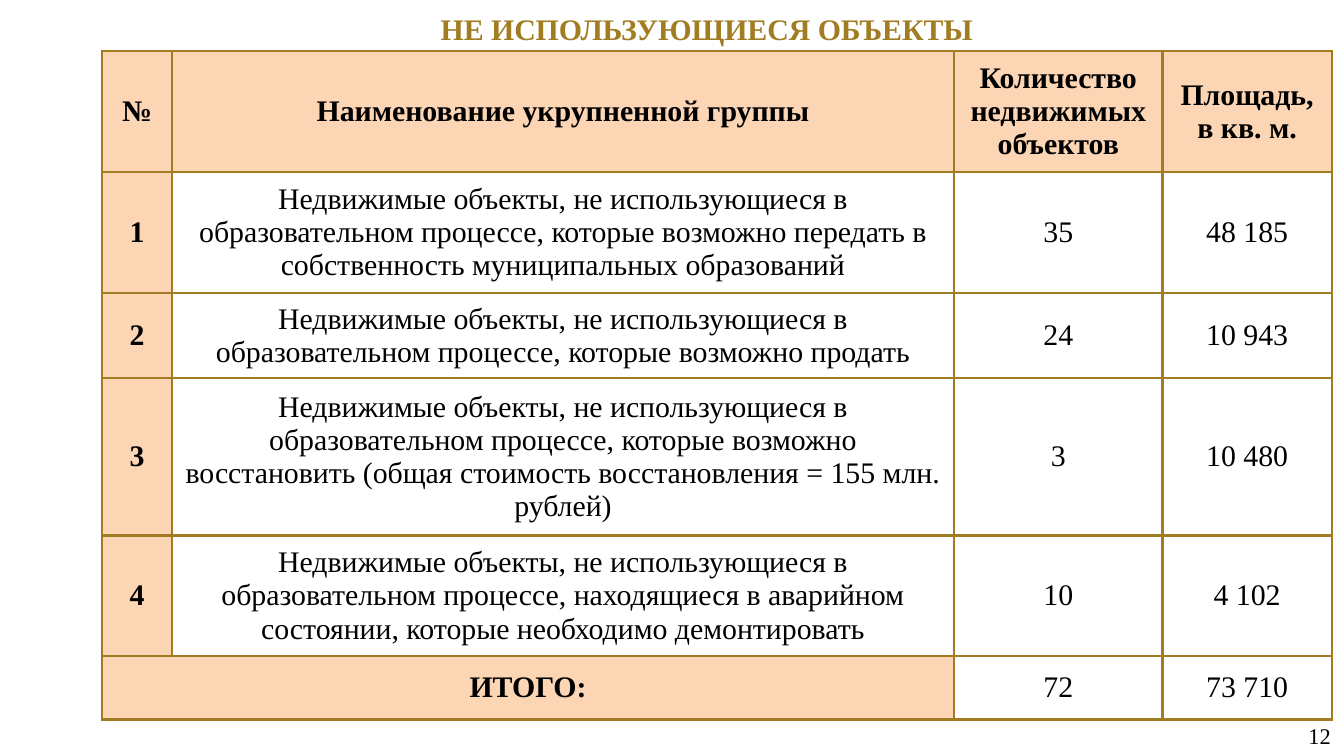
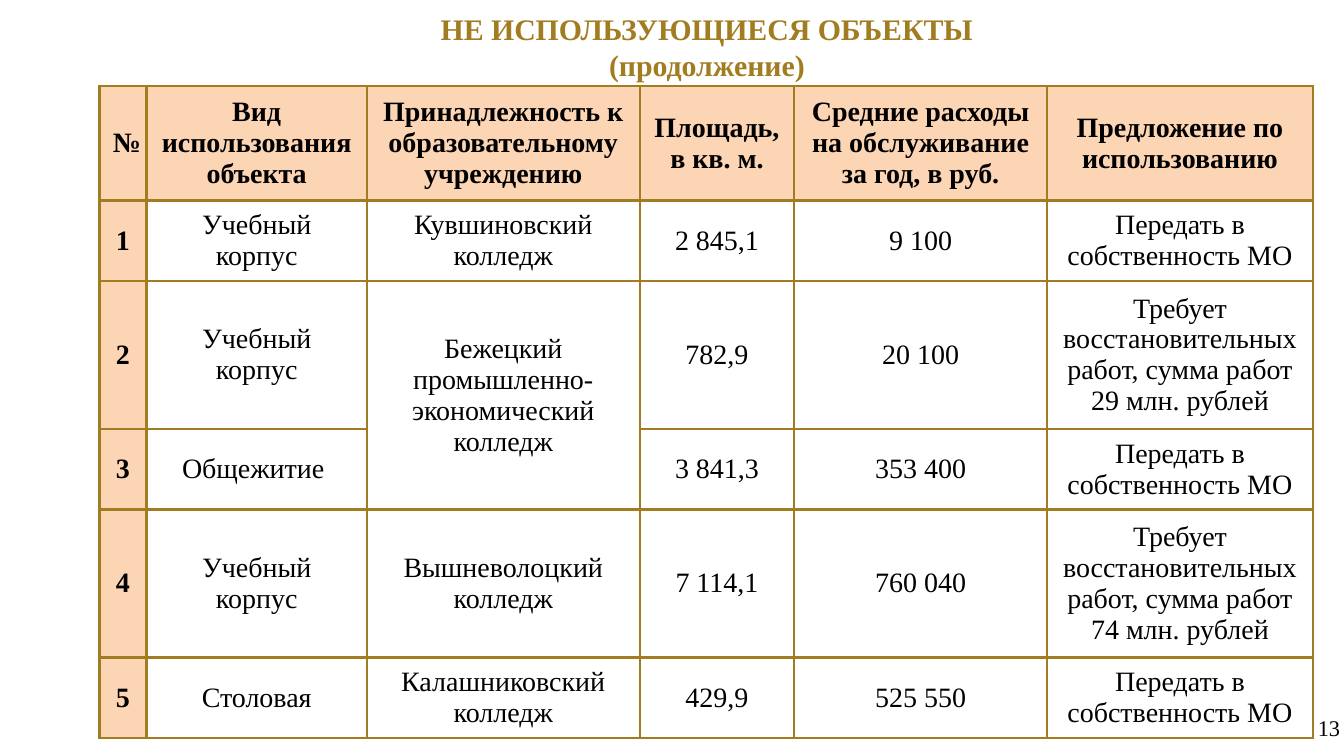
import pptx
import pptx.util
import pptx.dml.color
import pptx.enum.text
from lxml import etree
from pptx.oxml.ns import qn

Inches, Pt = pptx.util.Inches, pptx.util.Pt
ALIGN, ANCHOR = pptx.enum.text.PP_ALIGN, pptx.enum.text.MSO_ANCHOR

FONT = "Times New Roman"
COLORS = {"gold": "A17C21", "peach": "FCD5B5", "text": "000000"}
TITLE = "НЕ ИСПОЛЬЗУЮЩИЕСЯ ОБЪЕКТЫ"
IDLE = "Недвижимые объекты, не использующиеся в образовательном процессе, "
HALL = "Учебный корпус"
GIVE = "Передать в собственность МО"
FIX = "Требует восстановительных работ, сумма работ {} млн. рублей"

# None marks a cell covered by a merge; spans hold (first, last) cells
SLIDES = [
    {
        "title": TITLE,
        "number": ("12", 7.67, 5.28),
        "place": (0.76, 0.38),
        "size": 16,
        "cols": [0.52, 5.82, 1.55, 1.26],
        "heights": [0.9, 0.9, 0.63, 1.17, 0.9, 0.47],
        "spans": [((5, 0), (5, 1))],
        "rows": [
            ["№", "Наименование укрупненной группы",
             "Количество недвижимых объектов", "Площадь, в кв. м."],
            ["1", IDLE + "которые возможно передать в собственность "
             "муниципальных образований", "35", "48 185"],
            ["2", IDLE + "которые возможно продать", "24", "10 943"],
            ["3", IDLE + "которые возможно восстановить (общая стоимость "
             "восстановления = 155 млн. рублей)", "3", "10 480"],
            ["4", IDLE + "находящиеся в аварийном состоянии, "
             "которые необходимо демонтировать", "10", "4 102"],
            ["ИТОГО:", None, "72", "73 710"],
        ],
    },
    {
        "title": TITLE + "\n(продолжение)",
        "number": ("13", 7.74, 5.22),
        "place": (0.74, 0.64),
        "size": 15,
        "cols": [0.35, 1.64, 2.03, 1.15, 1.88, 1.98],
        "heights": [0.85, 0.6, 1.1, 0.6, 1.1, 0.6],
        "spans": [((2, 2), (3, 2))],
        "rows": [
            ["№", "Вид использования объекта",
             "Принадлежность к образовательному учреждению",
             "Площадь, \nв кв. м.",
             "Средние расходы на обслуживание за год, в руб.",
             "Предложение по использованию"],
            ["1", HALL, "Кувшиновский колледж", "2 845,1", "9 100", GIVE],
            ["2", HALL, "Бежецкий промышленно-экономический колледж",
             "782,9", "20 100", FIX.format(29)],
            ["3", "Общежитие ", None, "3 841,3", "353 400", GIVE],
            ["4", HALL, "Вышневолоцкий колледж", "7 114,1", "760 040",
             FIX.format(74)],
            ["5", "Столовая", "Калашниковский колледж", "429,9", "525 550",
             GIVE],
        ],
    },
]


def rgb(name):
    return pptx.dml.color.RGBColor.from_string(COLORS[name])


def write(frame, text, size, color="text", bold=False, align=ALIGN.CENTER):
    frame.text = text
    for para in frame.paragraphs:
        para.alignment = align
        for run in para.runs:
            font = run.font
            font.name, font.size, font.bold = FONT, Pt(size), bold
            font.color.rgb = rgb(color)


def add_text(slide, box, anchor, text, size, **style):
    frame = slide.shapes.add_textbox(*map(Inches, box)).text_frame
    frame.word_wrap = True
    frame.vertical_anchor = anchor
    write(frame, text, size, **style)


def add_edges(cell):
    """Draw a gold line on all four sides of a cell."""
    props = cell._tc.get_or_add_tcPr()
    for side in ("lnL", "lnR", "lnT", "lnB"):
        line = etree.SubElement(props, qn("a:" + side), w=str(Pt(1.5)))
        fill = etree.SubElement(line, qn("a:solidFill"))
        etree.SubElement(fill, qn("a:srgbClr"), val=COLORS["gold"])


def add_grid(slide, data):
    rows, cols, heights = data["rows"], data["cols"], data["heights"]
    box = (*data["place"], sum(cols), sum(heights))
    table = slide.shapes.add_table(
        len(rows), len(cols), *map(Inches, box)).table
    table.first_row = table.horz_banding = False
    for col, width in zip(table.columns, cols):
        col.width = Inches(width)
    for row, height in zip(table.rows, heights):
        row.height = Inches(height)
    for first, last in data["spans"]:
        table.cell(*first).merge(table.cell(*last))
    for r, row in enumerate(rows):
        for c, text in enumerate(row):
            cell = table.cell(r, c)
            head = r == 0 or c == 0
            add_edges(cell)
            if head:
                cell.fill.solid()
                cell.fill.fore_color.rgb = rgb("peach")
            else:
                cell.fill.background()
            cell.vertical_anchor = ANCHOR.MIDDLE
            if text is not None:
                write(cell.text_frame, text, data["size"], bold=head)


def main():
    deck = pptx.Presentation()
    deck.slide_width = Inches(10)
    deck.slide_height = Inches(10 * 9 / 16)
    for data in SLIDES:
        slide = deck.slides.add_slide(deck.slide_layouts[6])
        number, left, top = data["number"]
        add_text(slide, (left, top, 2.33, 0.39), ANCHOR.MIDDLE, number, 12,
                 align=ALIGN.RIGHT)
        add_grid(slide, data)
        add_text(slide, (0.77, 0.03, 8.98, 0.77), ANCHOR.TOP, data["title"],
                 16, color="gold", bold=True)
    deck.save("out.pptx")


if __name__ == "__main__":
    main()
